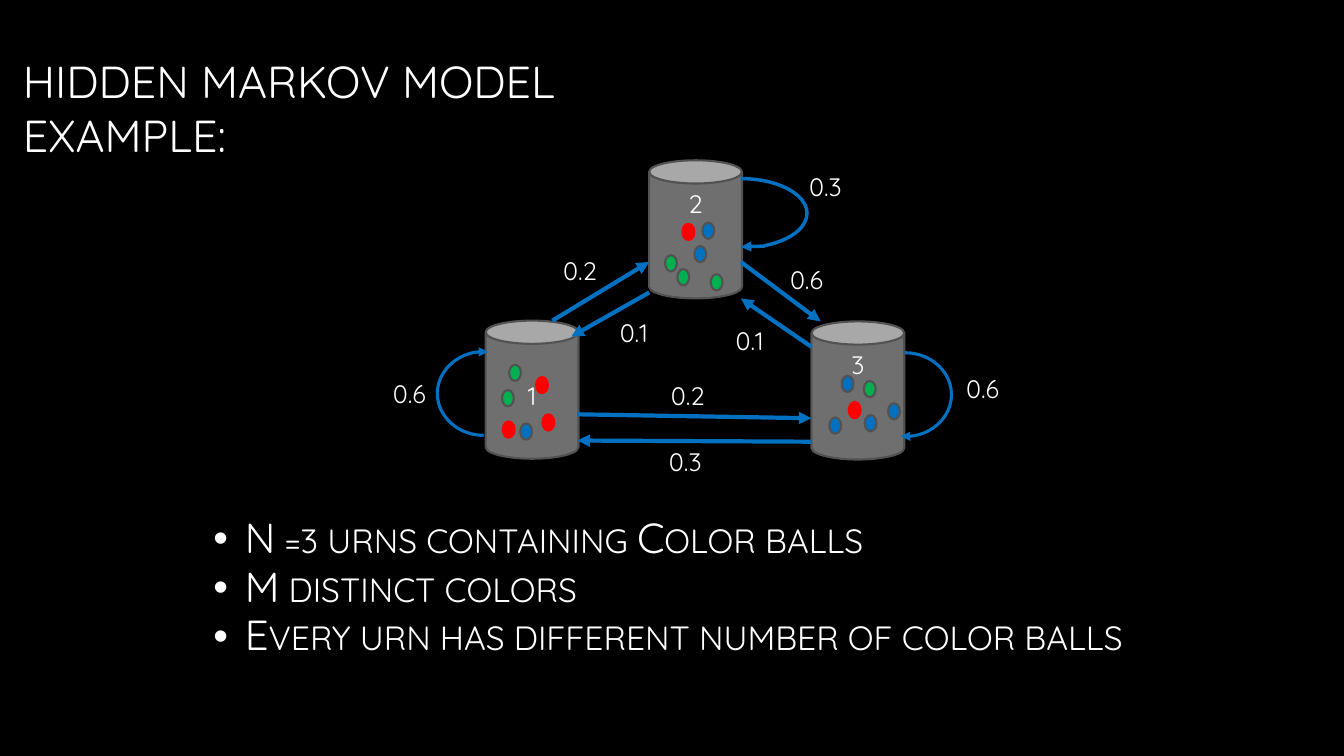
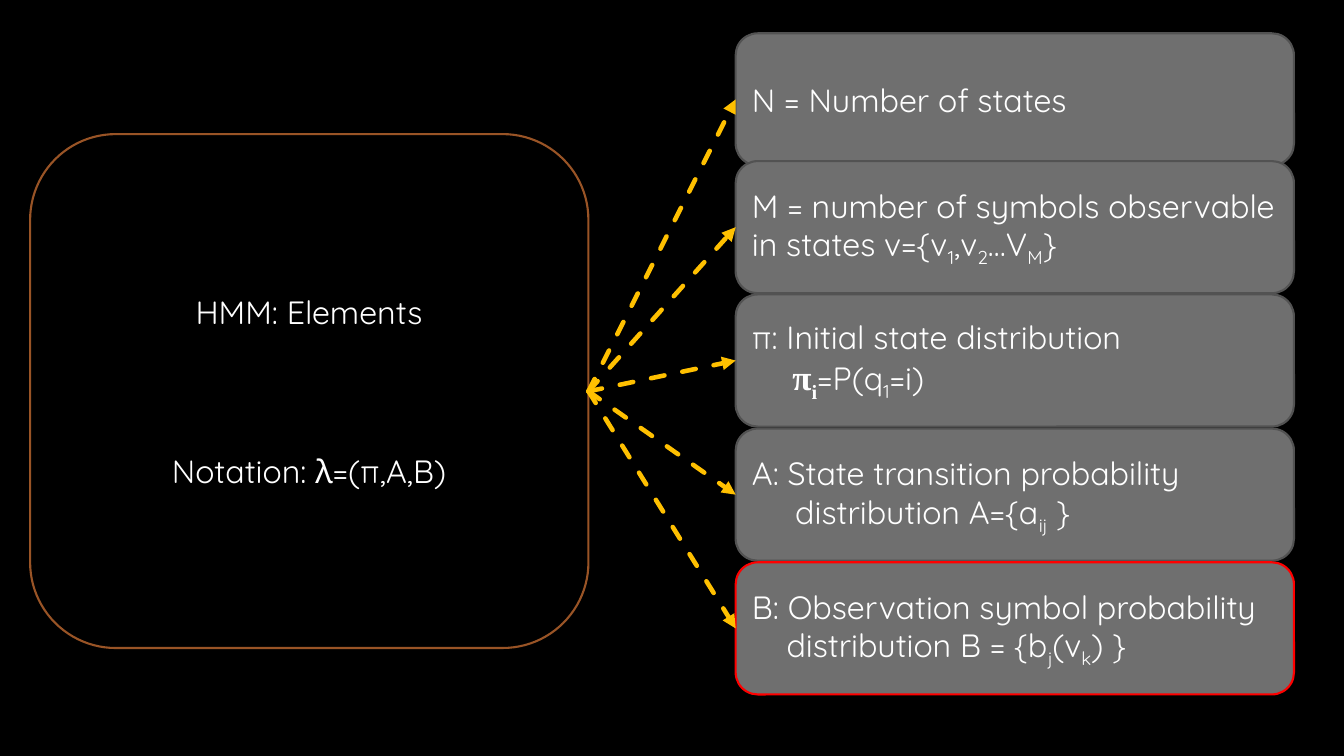
import lxml.etree
import pptx
import pptx.dml.color
import pptx.enum.dml
import pptx.enum.shapes
import pptx.enum.text
import pptx.oxml.ns
import pptx.util

Cm = pptx.util.Cm
Pt = pptx.util.Pt
qn = pptx.oxml.ns.qn
SHAPE = pptx.enum.shapes.MSO_SHAPE
ANCHOR = pptx.enum.text.MSO_ANCHOR
STRAIGHT = pptx.enum.shapes.MSO_CONNECTOR.STRAIGHT

FONT = "Quicksand"
BLACK, WHITE = "000000", "FFFFFF"
GREY, DARK_GREY = "6F6F6F", "525252"
RED, BLUE, GREEN = "FF0000", "0070C0", "00B050"
BROWN, YELLOW = "995426", "FFC000"


def paint(fill, colour):
    """Make a shape, line, font or background fill solid."""
    fill.solid()
    fill.fore_color.rgb = pptx.dml.color.RGBColor.from_string(colour)


def add_span(para, text, size, lowered=False):
    span = para.add_run()
    span.text = text
    span.font.name = FONT
    span.font.size = Pt(size)
    paint(span.font.fill, WHITE)
    if lowered:
        span.font._element.set("baseline", "-25000")
    return span


deck = pptx.Presentation()
deck.slide_width, deck.slide_height = Cm(33.87), Cm(19.05)
urn_slide, elements_slide = [deck.slides.add_slide(deck.slide_layouts[6]) for _ in range(2)]
for slide in deck.slides:
    paint(slide.background.fill, BLACK)
arrows = []

# Slide 1: title and bullets
title = urn_slide.shapes.add_textbox(Cm(0.33), Cm(0.08), Cm(20.98), Cm(5.28)).text_frame
title.word_wrap = True
title.vertical_anchor = ANCHOR.MIDDLE
para = title.paragraphs[0]
add_span(para, "HIDDEN MARKOV MODEL", 32)
para.add_line_break()
add_span(para, "EXAMPLE:", 32)

bullets = urn_slide.shapes.add_textbox(Cm(5.13), Cm(12.83), Cm(25.91), Cm(4.11)).text_frame
bullets.word_wrap = True
facts = [
    "N =3 urns containing Color balls",
    "M distinct colors",
    "Every urn has different number of color balls",
]
for index, fact in enumerate(facts):
    para = bullets.add_paragraph() if index else bullets.paragraphs[0]
    para.line_spacing = 0.97
    properties = para._p.get_or_add_pPr()
    properties.set("marL", str(Cm(0.79)))
    properties.set("indent", str(-Cm(0.79)))
    lxml.etree.SubElement(properties, qn("a:buFont")).set("typeface", "Arial")
    lxml.etree.SubElement(properties, qn("a:buChar")).set("char", "•")
    add_span(para, fact, 30).font._element.set("cap", "small")

# Urns
urns = [
    ("2", 16.36, 4.04, ANCHOR.TOP),
    ("1", 12.24, 8.08, ANCHOR.MIDDLE),
    ("3", 20.45, 8.1, ANCHOR.TOP),
]
for number, left, top, anchor in urns:
    urn = urn_slide.shapes.add_shape(SHAPE.CAN, Cm(left), Cm(top), Cm(2.34), Cm(3.48))
    urn.shadow.inherit = False
    paint(urn.fill, GREY)
    paint(urn.line.fill, DARK_GREY)
    urn.line.width = Pt(1.5)
    urn.text_frame.vertical_anchor = anchor
    para = urn.text_frame.paragraphs[0]
    para.alignment = pptx.enum.text.PP_ALIGN.CENTER
    add_span(para, number, 18)

# Transitions between urns; the last one ends the loop on urn 2
transitions = [
    (18.67, 6.6, 20.68, 8.1, 3),
    (20.45, 8.74, 18.67, 7.52, 3),
    (13.92, 8.08, 16.36, 6.6, 3),
    (16.36, 7.37, 14.4, 8.48, 3),
    (14.55, 10.44, 20.45, 10.54, 3),
    (20.45, 11.13, 14.55, 11.1, 3),
    (19.28, 6.2, 18.67, 6.22, 2.5),
]
for x1, y1, x2, y2, width in transitions:
    arrow = urn_slide.shapes.add_connector(STRAIGHT, Cm(x1), Cm(y1), Cm(x2), Cm(y2))
    paint(arrow.line.fill, BLUE)
    arrow.line.width = Pt(width)
    arrows.append(arrow)

# Balls
balls = {
    RED: [(13.51, 9.5), (13.67, 10.44), (17.2, 5.64), (21.39, 10.13), (12.67, 10.62)],
    BLUE: [(21.21, 9.47), (17.5, 6.2), (21.79, 10.46), (20.9, 10.52),
           (22.38, 10.16), (17.7, 5.61), (13.11, 10.67)],
    GREEN: [(17.91, 6.91), (17.07, 6.78), (16.76, 6.43), (21.77, 9.6),
            (12.83, 9.19), (12.65, 9.83)],
}
for colour, places in balls.items():
    for left, top in places:
        ball = urn_slide.shapes.add_shape(SHAPE.OVAL, Cm(left), Cm(top), Cm(0.3), Cm(0.41))
        ball.shadow.inherit = False
        paint(ball.fill, colour)
        paint(ball.line.fill, RED if colour == RED else DARK_GREY)
        ball.line.width = Pt(1.5)

# Loops from an urn to itself
loops = [
    (16.99, 4.5, 3.35, 1.75, 32.39, 0, 2.5),
    (21.64, 8.89, 2.34, 2.11, 57.45, 0, 2.25),
    (11.02, 8.86, 2.34, 2.11, 57.45, 180, 2.25),
]
for left, top, width, height, end, rotation, weight in loops:
    loop = urn_slide.shapes.add_shape(SHAPE.ARC, Cm(left), Cm(top), Cm(width), Cm(height))
    loop.adjustments[0], loop.adjustments[1] = 162, end
    loop.rotation = rotation
    loop.fill.background()
    paint(loop.line.fill, BLUE)
    loop.line.width = Pt(weight)
    if weight == 2.25:
        arrows.append(loop)
    else:
        loop.shadow.inherit = False

probabilities = [
    ("0.6", 9.65, 9.4), ("0.6", 24.1, 9.27), ("0.6", 19.66, 6.53),
    ("0.1", 15.37, 7.87), ("0.1", 18.29, 8.08), ("0.2", 16.66, 9.47),
    ("0.3", 16.61, 11.13), ("0.3", 20.14, 4.19), ("0.2", 13.94, 6.3),
]
for probability, left, top in probabilities:
    label = urn_slide.shapes.add_textbox(Cm(left), Cm(top), Cm(1.4), Cm(1.02)).text_frame
    label.word_wrap = False
    add_span(label.paragraphs[0], probability, 18)

# Slide 2: summary box
summary = elements_slide.shapes.add_shape(
    SHAPE.ROUNDED_RECTANGLE, Cm(0.76), Cm(3.38), Cm(14.07), Cm(12.95))
summary.shadow.inherit = False
summary.fill.background()
paint(summary.line.fill, BROWN)
summary.line.width = Pt(1.5)
frame = summary.text_frame
frame.vertical_anchor = ANCHOR.MIDDLE
for index, text in enumerate(["HMM: Elements", "Notation: λ=(π,A,B)"]):
    para = frame.add_paragraph() if index else frame.paragraphs[0]
    para.alignment = pptx.enum.text.PP_ALIGN.CENTER
    para.space_before = Pt(86 * index)
    add_span(para, text, 23)

# Element cards: top, outline, then paragraphs of (indent, spans); odd spans are subscripts
cards = [
    (0.84, DARK_GREY, [(0, ["N = Number of states"])]),
    (4.06, DARK_GREY, [(0, ["M = number of symbols observable in states v={v",
                            "1", ",v", "2", "…V", "M", "}"])]),
    (7.42, DARK_GREY, [(0, ["π: Initial state distribution"]),
                       (1.02, ["π", "i", "=P(q", "1", "=i)"])]),
    (10.8, DARK_GREY, [(0, ["A: State transition probability"]),
                       (1.09, ["distribution A={a", "ij", " }"])]),
    (14.17, RED, [(0, ["B: Observation symbol probability"]),
                  (0.87, ["distribution B = {b", "j", "(v", "k", ") }"])]),
]
card_left, card_height = 18.54, 3.33
for top, outline, paragraphs in cards:
    card = elements_slide.shapes.add_shape(
        SHAPE.ROUNDED_RECTANGLE, Cm(card_left), Cm(top), Cm(14.07), Cm(card_height))
    card.shadow.inherit = False
    paint(card.fill, GREY)
    paint(card.line.fill, outline)
    card.line.width = Pt(1.5)
    frame = card.text_frame
    frame.vertical_anchor = ANCHOR.MIDDLE
    for index, (indent, texts) in enumerate(paragraphs):
        para = frame.add_paragraph() if index else frame.paragraphs[0]
        para.alignment = pptx.enum.text.PP_ALIGN.LEFT
        para._p.get_or_add_pPr().set("marL", str(Cm(indent)))
        for position, text in enumerate(texts):
            span = add_span(para, text, 23, lowered=position % 2 == 1)
            if text in ("π", "i"):
                span.font.name = "Times New Roman"
                span.font.size = Pt(25)
                span.font.bold = True

for top, _, _ in cards:
    arrow = elements_slide.shapes.add_connector(
        STRAIGHT, Cm(14.83), Cm(9.86), Cm(card_left), Cm(top + card_height / 2))
    paint(arrow.line.fill, YELLOW)
    arrow.line.width = Pt(3.25)
    arrow.line.dash_style = pptx.enum.dml.MSO_LINE.DASH
    arrow.element.spPr.find(qn("a:ln")).set("cap", "rnd")
    arrows.append(arrow)

# Arrowheads, without shadows
for arrow in arrows:
    properties = arrow.element.spPr
    outline = properties.find(qn("a:ln"))
    lxml.etree.SubElement(outline, qn("a:tailEnd")).set("type", "triangle")
    lxml.etree.SubElement(properties, qn("a:effectLst"))

deck.save("out.pptx")
